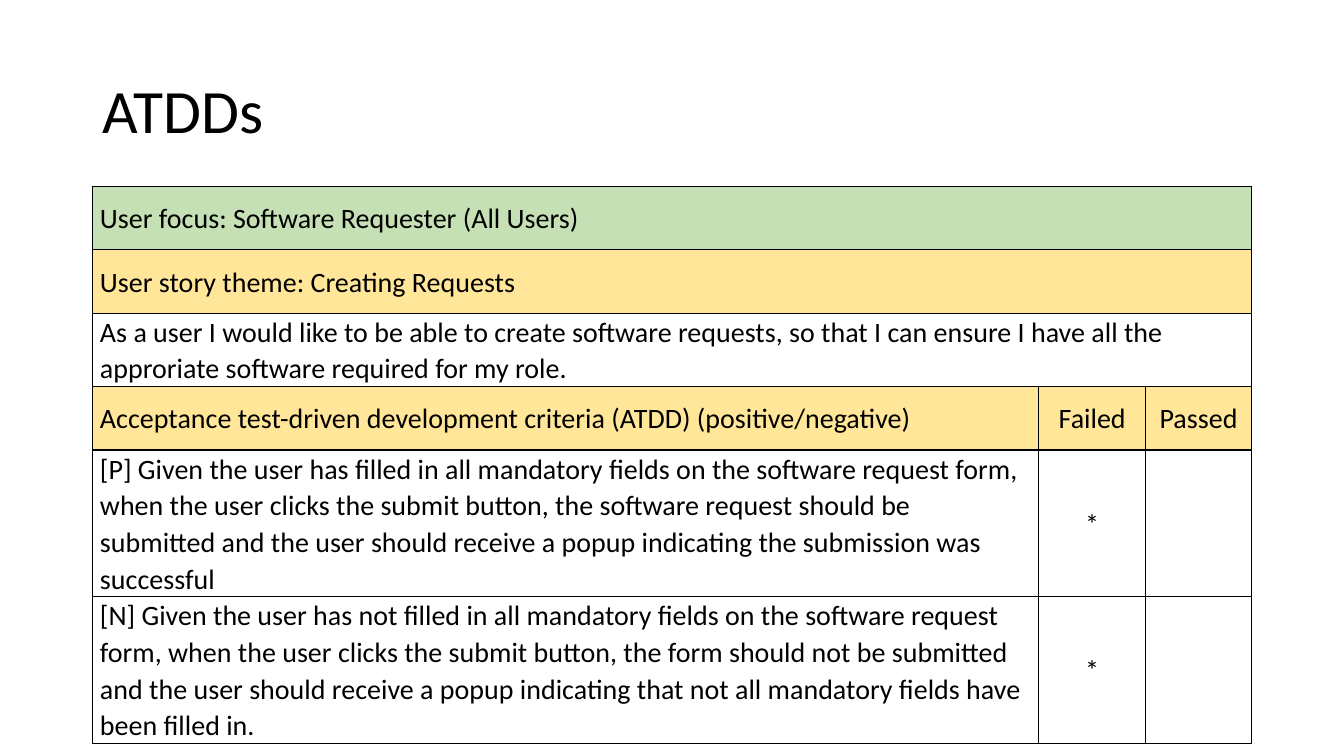
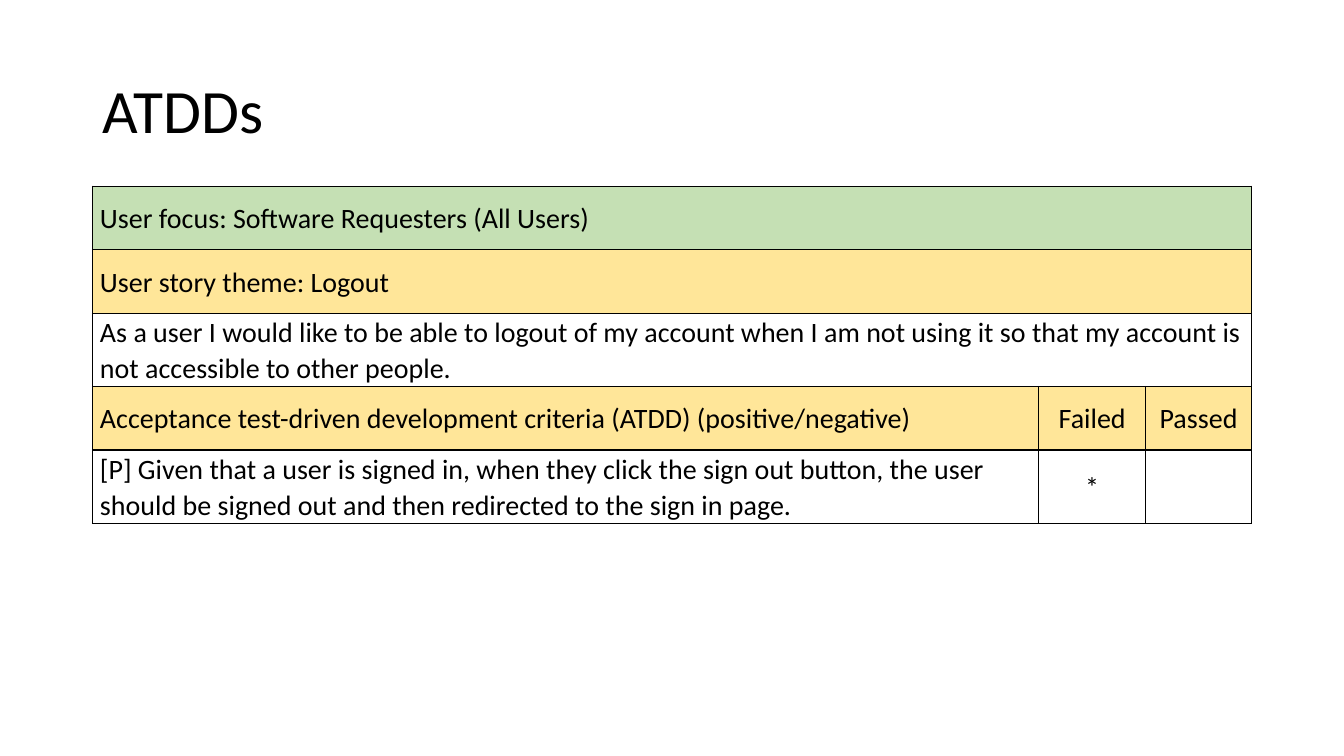
from dataclasses import dataclass
from typing import Optional

from lxml.etree import SubElement
from pptx import Presentation
from pptx.dml.color import RGBColor
from pptx.enum.text import MSO_ANCHOR, PP_ALIGN
from pptx.oxml.ns import qn
from pptx.presentation import Presentation as Deck
from pptx.slide import Slide
from pptx.table import Table, _Cell
from pptx.text.text import _Paragraph
from pptx.util import Cm, Pt

# Shared look
BLACK = RGBColor(0x00, 0x00, 0x00)
GREEN = RGBColor(0xC5, 0xE0, 0xB4)
YELLOW = RGBColor(0xFF, 0xE6, 0x99)
FONT = "Calibri"
LEFT, WIDTH = Cm(2.33), Cm(29.21)
TITLE_TOP, TITLE_HEIGHT = Cm(1.01), Cm(3.68)
TABLE_TOP, ROW_HEIGHT = Cm(4.69), Cm(1.6)
COLUMN_WIDTHS = (Cm(23.85), Cm(2.69), Cm(2.67))
SIDE_MARGIN = Cm(0.19)
TITLE_LAYOUT = 5


@dataclass(frozen=True)
class Row:
    """One table row; a single text spans the whole width."""
    texts: tuple[str, ...]
    fill: Optional[RGBColor] = None


@dataclass(frozen=True)
class Story:
    """A user story and its failed acceptance criteria."""
    focus: str
    theme: str
    story: str
    criteria: tuple[str, ...]

    def rows(self) -> list[Row]:
        heading = "Acceptance test-driven development criteria (ATDD) (positive/negative)"
        return [
            Row((f"User focus: {self.focus}",), GREEN),
            Row((f"User story theme: {self.theme}",), YELLOW),
            Row((self.story,)),
            Row((heading, "Failed", "Passed"), YELLOW),
            *(Row((criterion, "*", "")) for criterion in self.criteria),
        ]


STORIES = (
    Story(
        "Software Requester (All Users)",
        "Creating Requests",
        "As a user I would like to be able to create software requests, so that I can "
        "ensure I have all the approriate software required for my role.",
        (
            "[P] Given the user has filled in all mandatory fields on the software request "
            "form, when the user clicks the submit button, the software request should be "
            "submitted and the user should receive a popup indicating the submission was "
            "successful",
            "[N] Given the user has not filled in all mandatory fields on the software "
            "request form, when the user clicks the submit button, the form should not be "
            "submitted and the user should receive a popup indicating that not all "
            "mandatory fields have been filled in.",
        ),
    ),
    Story(
        "Software Requesters (All Users)",
        "Logout",
        "As a user I would like to be able to logout of my account when I am not using it "
        "so that my account is not accessible to other people.",
        (
            "[P] Given that a user is signed in, when they click the sign out button, the "
            "user should be signed out and then redirected to the sign in page.",
        ),
    ),
)


def format_paragraph(paragraph: _Paragraph, size: float, spacing: float,
                     alignment: PP_ALIGN) -> None:
    paragraph.alignment = alignment
    paragraph.line_spacing = spacing
    for run in paragraph.runs:
        run.font.name = FONT
        run.font.size = Pt(size)
        run.font.color.rgb = BLACK


def add_title(slide: Slide, text: str) -> None:
    title = slide.shapes.title
    title.left, title.top = LEFT, TITLE_TOP
    title.width, title.height = WIDTH, TITLE_HEIGHT
    title.text_frame.text = text
    title.text_frame.vertical_anchor = MSO_ANCHOR.MIDDLE
    format_paragraph(title.text_frame.paragraphs[0], 44, 0.9, PP_ALIGN.LEFT)


def add_borders(cell: _Cell) -> None:
    properties = cell._tc.get_or_add_tcPr()
    for side in ("a:lnL", "a:lnR", "a:lnT", "a:lnB"):
        line = SubElement(properties, qn(side), w=str(Pt(1)))
        solid = SubElement(line, qn("a:solidFill"))
        SubElement(solid, qn("a:srgbClr"), val=str(BLACK))


def format_cell(cell: _Cell, fill: Optional[RGBColor]) -> None:
    add_borders(cell)
    if fill is None:
        cell.fill.background()
    else:
        cell.fill.solid()
        cell.fill.fore_color.rgb = fill
    cell.vertical_anchor = MSO_ANCHOR.MIDDLE
    cell.margin_left = cell.margin_right = SIDE_MARGIN
    cell.margin_top = cell.margin_bottom = 0


def fill_row(table: Table, index: int, row: Row) -> None:
    table.rows[index].height = ROW_HEIGHT
    last_column = len(COLUMN_WIDTHS) - 1
    for column in range(last_column + 1):
        format_cell(table.cell(index, column), row.fill)
    if len(row.texts) == 1:
        table.cell(index, 0).merge(table.cell(index, last_column))
    for column, text in enumerate(row.texts):
        cell = table.cell(index, column)
        cell.text_frame.text = text
        alignment = PP_ALIGN.CENTER if column else PP_ALIGN.LEFT
        format_paragraph(cell.text_frame.paragraphs[0], 20, 1.07, alignment)


def add_story_table(slide: Slide, story: Story) -> None:
    rows = story.rows()
    table = slide.shapes.add_table(len(rows), len(COLUMN_WIDTHS), LEFT, TABLE_TOP,
                                   WIDTH, ROW_HEIGHT * len(rows)).table
    table.first_row = table.horz_banding = False
    for column, width in zip(table.columns, COLUMN_WIDTHS):
        column.width = width
    for index, row in enumerate(rows):
        fill_row(table, index, row)


def add_story_slide(presentation: Deck, story: Story) -> None:
    slide = presentation.slides.add_slide(presentation.slide_layouts[TITLE_LAYOUT])
    add_title(slide, "ATDDs")
    add_story_table(slide, story)


def main() -> None:
    presentation = Presentation()
    presentation.slide_width, presentation.slide_height = Cm(33.87), Cm(19.05)
    for story in STORIES:
        add_story_slide(presentation, story)
    presentation.save("out.pptx")


if __name__ == "__main__":
    main()
